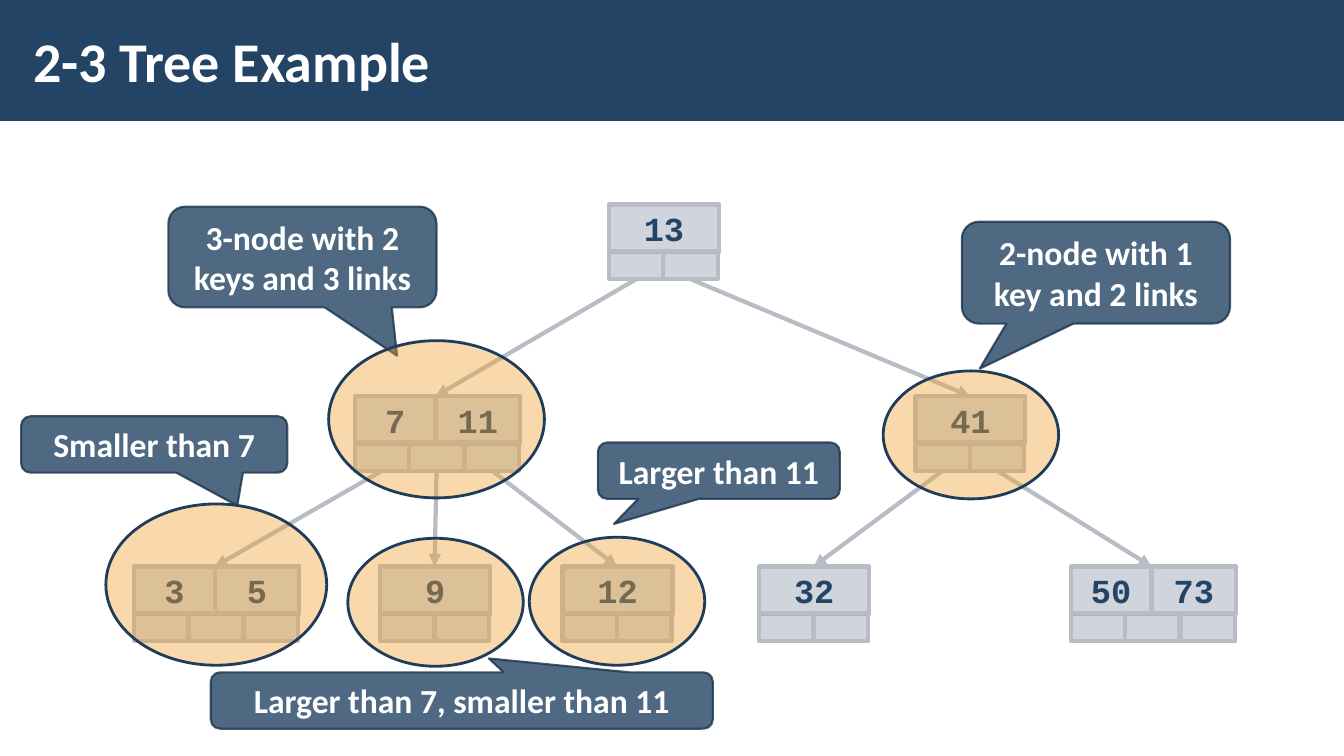
from lxml.etree import SubElement
from pptx import Presentation
from pptx.dml.color import RGBColor
from pptx.enum.shapes import MSO_CONNECTOR as Connector, MSO_SHAPE as Shape
from pptx.enum.text import MSO_ANCHOR as Anchor, MSO_AUTO_SIZE as AutoSize, PP_ALIGN as Align
from pptx.oxml.ns import qn
from pptx.util import Emu, Pt

PX = 9144  # 100 px to the inch

COLORS = {
    "navy": "234465",
    "white": "FFFFFF",
    "node": "A1AABC",
    "edge": "B8BCC4",
    "callout_line": "1A334B",
    "highlight": "F0A22E",
    "highlight_line": "1F3D5A",
}


class TreeSlide:
    KEY_H, LINK_H = 47, 28
    LINK_TOP = 46
    NARROW_W, WIDE_W = 109, 164
    SPLIT = 80  # where the second key of a 3-node starts

    def __init__(self, prs):
        self.slide = prs.slides.add_slide(prs.slide_layouts[6])
        self.shapes = self.slide.shapes

    @staticmethod
    def emu(*lengths):
        return [Emu(n * PX) for n in lengths]

    @staticmethod
    def paint(color_format, name, alpha=100):
        color_format.rgb = RGBColor.from_string(COLORS[name])
        if alpha < 100:
            parent = color_format._xFill
            SubElement(parent.find(qn("a:srgbClr")), qn("a:alpha"), val=str(alpha * 1000))

    def shape(self, kind, box, fill, alpha=100, line=None, width=0, line_alpha=100):
        shape = self.shapes.add_shape(kind, *self.emu(*box))
        shape.shadow.inherit = False
        shape.fill.solid()
        self.paint(shape.fill.fore_color, fill, alpha)
        if line:
            shape.line.width = Pt(width)
            shape.line.fill.solid()
            self.paint(shape.line.fill.fore_color, line, line_alpha)
        else:
            shape.line.fill.background()
        return shape

    def text(self, shape, words, size, font, color, align=Align.CENTER, insets=(10, 5)):
        frame = shape.text_frame
        frame.word_wrap = True
        frame.vertical_anchor = Anchor.MIDDLE
        frame.margin_left, frame.margin_top = self.emu(*insets)
        frame.margin_right, frame.margin_bottom = self.emu(*insets)
        paragraph = frame.paragraphs[0]
        paragraph.alignment = align
        run = paragraph.add_run()
        run.text = words
        run.font.name, run.font.size, run.font.bold = font, Pt(size), True
        self.paint(run.font.color, color)

    def title(self, words):
        self.shape(Shape.RECTANGLE, (0, 0, 1333, 120), "navy")
        box = self.shapes.add_textbox(*self.emu(21, 11, 1040, 97))
        self.text(box, words, 40, "Calibri", "white", Align.LEFT, (12, 4))

    def cell(self, box):
        return self.shape(Shape.RECTANGLE, box, "node", 50, "edge", 3)

    def node(self, left, top, keys):
        if len(keys) == 1:
            spans = [(0, self.NARROW_W)]
        else:
            spans = [(0, self.SPLIT), (self.SPLIT, self.WIDE_W - self.SPLIT)]
        for key, (offset, width) in zip(keys, spans):
            cell = self.cell((left + offset, top, width, self.KEY_H))
            self.text(cell, key, 24, "Courier New", "navy")
        for i in range(len(keys) + 1):
            x = left + i * self.NARROW_W // 2
            self.cell((x, top + self.LINK_TOP, self.NARROW_W // 2, self.LINK_H))

    def edge(self, parent, link, child):
        left, top, _ = parent
        x1 = left + link * self.NARROW_W // 2 + self.NARROW_W // 4
        y1 = top + self.LINK_TOP + self.LINK_H
        child_left, y2, keys = child
        x2 = child_left + (self.SPLIT if len(keys) == 2 else self.NARROW_W // 2)
        arrow = self.shapes.add_connector(Connector.STRAIGHT, *self.emu(x1, y1, x2, y2))
        arrow.line.width = Pt(3)
        arrow.line.fill.solid()
        self.paint(arrow.line.fill.fore_color, "edge")
        SubElement(arrow.line._get_or_add_ln(), qn("a:tailEnd"), type="triangle")
        SubElement(arrow._element.spPr, qn("a:effectLst"))

    def highlight(self, box):
        self.shape(Shape.OVAL, box, "highlight", 40, "highlight_line", 2)

    def callout(self, box, tip, words):
        bubble = self.shape(Shape.ROUNDED_RECTANGULAR_CALLOUT, box,
                            "navy", 80, "callout_line", 1.5, 80)
        for i, value in enumerate((*tip, 0.167)):
            bubble.adjustments[i] = value
        self.text(bubble, words, 24, "Calibri", "white")
        bubble.text_frame.auto_size = AutoSize.SHAPE_TO_FIT_TEXT


# Tree nodes: left, top, keys
ROOT_Y, MIDDLE_Y, LEAF_Y = 203, 393, 562
NODES = {
    "root": (604, ROOT_Y, ["13"]),
    "left": (352, MIDDLE_Y, ["7", "11"]),
    "right": (908, MIDDLE_Y, ["41"]),
    "below_7": (133, LEAF_Y, ["3", "5"]),
    "between": (377, LEAF_Y, ["9"]),
    "above_11": (558, LEAF_Y, ["12"]),
    "below_41": (753, LEAF_Y, ["32"]),
    "above_41": (1062, LEAF_Y, ["50", "73"]),
}
CHILDREN = {
    "root": ["left", "right"],
    "left": ["below_7", "between", "above_11"],
    "right": ["below_41", "above_41"],
}


def main():
    prs = Presentation()
    prs.slide_width, prs.slide_height = TreeSlide.emu(1333, 750)
    tree = TreeSlide(prs)
    tree.title("2-3 Tree Example")

    # Tree
    for parent, children in CHILDREN.items():
        for link, child in enumerate(children):
            tree.edge(NODES[parent], link, NODES[child])
    for node in NODES.values():
        tree.node(*node)

    # Node kinds
    tree.callout((167, 205, 266, 100), (0.353, 0.98), "3-node with 2 keys and 3 links")
    tree.highlight((326, 338, 214, 156))
    tree.highlight((876, 368, 174, 127))
    tree.callout((954, 220, 266, 101), (-0.433, 0.943), "2-node with 1 key and 2 links")

    # Key ranges of the leaves
    tree.highlight((525, 533, 174, 127))
    tree.highlight((345, 534, 174, 127))
    tree.callout((593, 439, 240, 56), (-0.433, 0.943), "Larger than 11")
    tree.callout((21, 413, 264, 56), (0.312, 1.083), "Smaller than 7")
    tree.highlight((105, 500, 219, 160))
    tree.callout((209, 667, 498, 56), (0.054, -0.746), "Larger than 7, smaller than 11")

    prs.save("out.pptx")


if __name__ == "__main__":
    main()
